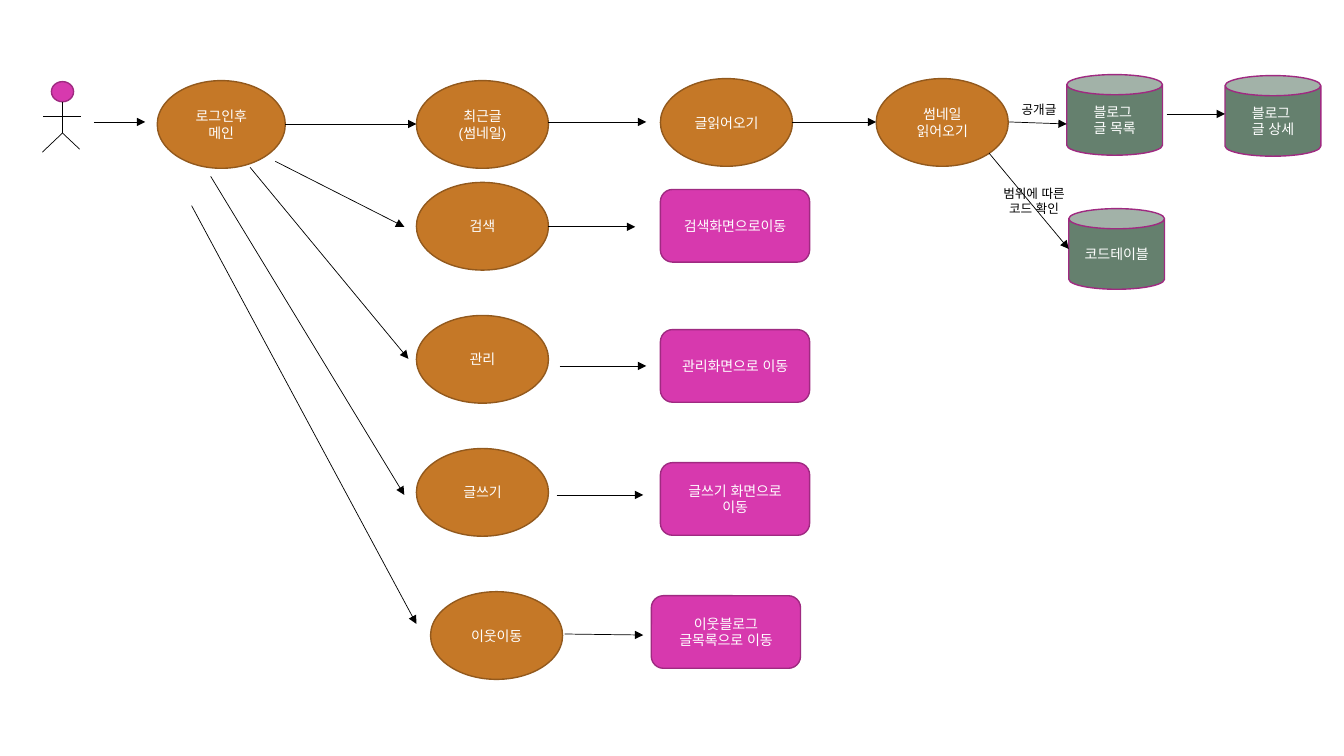
from lxml.etree import SubElement
from pptx import Presentation
from pptx.dml.color import RGBColor
from pptx.enum.shapes import MSO_CONNECTOR, MSO_SHAPE
from pptx.enum.text import MSO_ANCHOR, PP_ALIGN
from pptx.oxml.ns import qn
from pptx.util import Inches, Pt

COLORS = {
    "black": "000000", "white": "FFFFFF",
    "action": "C57827", "action_edge": "92591D",
    "screen": "D739AE", "screen_edge": "9F2A81", "table": "65806E",
}
STYLES = {
    "head": (MSO_SHAPE.OVAL, "screen", "screen_edge", 0.22, 0.2),
    "main": (MSO_SHAPE.OVAL, "action", "action_edge", 1.27, 0.87),
    "action": (MSO_SHAPE.OVAL, "action", "action_edge", 1.31, 0.87),
    "screen": (MSO_SHAPE.ROUNDED_RECTANGLE, "screen", "screen_edge", 1.48, 0.72),
    "table": (MSO_SHAPE.CAN, "table", "screen_edge", 0.95, 0.8),
}
FONT = "Arial"


def rgb(name):
    """Return the palette colour with this name."""
    return RGBColor.from_string(COLORS[name])


def write_text(shape, text, size, color):
    """Write centred text, one paragraph per line, into a shape."""
    frame = shape.text_frame
    frame.word_wrap = True
    frame.vertical_anchor = MSO_ANCHOR.MIDDLE
    frame.text = text
    for para in frame.paragraphs:
        para.alignment = PP_ALIGN.CENTER
        for span in para.runs:
            span.font.name = FONT
            span.font.size = Pt(size)
            span.font.color.rgb = rgb(color)
            SubElement(span.font._element, qn("a:ea"), typeface=FONT)


def add_node(shapes, style, left, top, text=""):
    """Draw one filled node of the given style."""
    preset, fill, edge, width, height = STYLES[style]
    node = shapes.add_shape(preset, *map(Inches, (left, top, width, height)))
    node.shadow.inherit = False
    node.fill.solid()
    node.fill.fore_color.rgb = rgb(fill)
    node.line.color.rgb = rgb(edge)
    node.line.width = Pt(1)
    if text:
        write_text(node, text, 10, "white")


def add_line(shapes, origin, start, end, arrow=True):
    """Draw a thin black line between two points measured from the origin."""
    left, top = origin
    points = (left + start[0], top + start[1], left + end[0], top + end[1])
    line = shapes.add_connector(MSO_CONNECTOR.STRAIGHT, *map(Inches, points))
    line.line.color.rgb = rgb("black")
    line.line.width = Pt(0.5)
    if arrow:
        SubElement(line.line._get_or_add_ln(), qn("a:tailEnd"), type="triangle")
    SubElement(line._element.spPr, qn("a:effectLst"))


def add_label(shapes, left, top, width, height, text):
    """Draw a small caption beside an arrow."""
    label = shapes.add_textbox(*map(Inches, (left, top, width, height)))
    write_text(label, text, 9, "black")


def draw_actor(page, left, top):
    """Draw the stick figure of the user as one group."""
    figure = page.shapes.add_group_shape().shapes
    add_node(figure, "head", left + 0.09, top)
    neck, hip = (0.2, 0.2), (0.2, 0.51)
    limbs = [((0.01, 0.34), (0.38, 0.34)), (neck, hip),
             (hip, (0, 0.7)), (hip, (0.37, 0.67))]
    for start, end in limbs:
        add_line(figure, (left, top), start, end, arrow=False)


def draw_reading_flow(page, left, top):
    """Draw the top row, from the main page to the blog tables."""
    nodes = [
        ("main", 0.63, 0.06, "로그인후 메인"),
        ("action", 3.2, 0.06, "최근글\n(썸네일)"),
        ("action", 5.62, 0.04, "글읽어오기"),
        ("action", 7.76, 0.04, "썸네일\n읽어오기"),
        ("table", 9.65, 0, "블로그 \n글 목록"),
        ("table", 11.22, 0.01, "블로그 \n글 상세"),
        ("table", 9.67, 1.33, "코드테이블"),
    ]
    arrows = [
        ((0, 0.47), (0.51, 0.47)), ((1.9, 0.49), (3.2, 0.49)),
        ((4.51, 0.47), (5.48, 0.47)), ((6.93, 0.47), (7.76, 0.47)),
        ((9.08, 0.47), (9.65, 0.49)), ((10.64, 0.39), (11.22, 0.39)),
        ((8.88, 0.78), (9.67, 1.73)),
    ]
    for style, across, down, text in nodes:
        add_node(page.shapes, style, left + across, top + down, text)
    for start, end in arrows:
        add_line(page.shapes, (left, top), start, end)
    add_label(page.shapes, left + 8.97, top + 0.22, 0.81, 0.25, "공개글")
    add_label(page.shapes, left + 8.8, top + 1, 1.05, 0.51, "범위에 따른 코드 확인")


def draw_menu(page, left, top):
    """Draw the menu actions, each reached from the main page and leading to a screen."""
    rows = [
        ("검색", (0, 0), "검색화면으로이동", (2.42, 0.07),
         ((-1.4, -0.21), (-0.12, 0.44)), ((1.31, 0.44), (2.17, 0.44))),
        ("관리", (0, 1.32), "관리화면으로 이동", (2.42, 1.46),
         ((-1.65, -0.15), (-0.08, 1.75)), ((1.42, 1.82), (2.28, 1.82))),
        ("글쓰기", (0, 2.64), "글쓰기 화면으로\n이동", (2.42, 2.78),
         ((-2.04, -0.06), (-0.12, 3.1)), ((1.39, 3.1), (2.25, 3.1))),
        ("이웃이동", (0.14, 4.06), "이웃블로그 글목록으로 이동", (2.33, 4.1),
         ((-2.23, 0.23), (0, 4.38)), ((1.47, 4.48), (2.25, 4.49))),
    ]
    for action, action_at, screen, screen_at, *arrows in rows:
        add_node(page.shapes, "action", left + action_at[0], top + action_at[1], action)
        add_node(page.shapes, "screen", left + screen_at[0], top + screen_at[1], screen)
        for start, end in arrows:
            add_line(page.shapes, (left, top), start, end)


def main():
    """Build the slide and save the deck."""
    deck = Presentation()
    deck.slide_width, deck.slide_height = Inches(13.33), Inches(7.5)
    page = deck.slides.add_slide(deck.slide_layouts[6])
    draw_actor(page, 0.42, 0.81)
    draw_reading_flow(page, 0.93, 0.74)
    draw_menu(page, 4.13, 1.81)
    deck.save("out.pptx")


if __name__ == "__main__":
    main()
